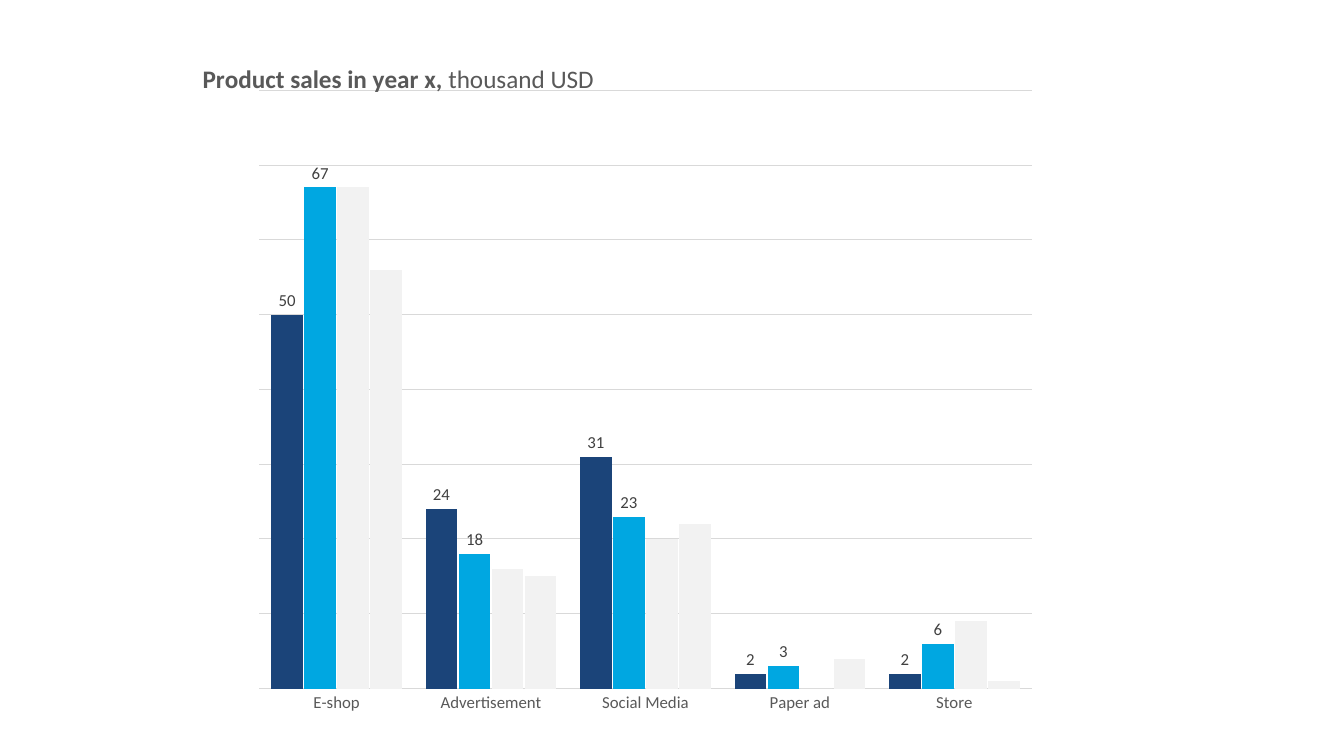
"""Build a slide with a clustered column chart of product sales by channel."""
from dataclasses import dataclass

from pptx import Presentation
from pptx import util as u
from pptx.chart import data as chart_data
from pptx.dml.color import RGBColor
from pptx.enum import chart as chart_enum
from pptx.oxml import parse_xml
from pptx.oxml.ns import nsdecls

EMU_PER_PX = 9525


@dataclass(frozen=True)
class Theme:
    font: str = "Calibri"
    navy: str = "1B4479"
    cyan: str = "00A7E1"
    pale: str = "F2F2F2"
    grid: str = "D9D9D9"
    text: str = "595959"
    label: str = "404040"
    base: str = "000000"
    title_size: int = 18
    text_size: int = 12
    base_size: int = 10
    line_width: float = 0.75


@dataclass(frozen=True)
class SalesSeries:
    name: str
    values: tuple[int, ...]
    color: str
    labelled: bool = False


THEME = Theme()
CHANNELS = ("E-shop", "Advertisement", "Social Media", "Paper ad", "Store")
SALES = (
    SalesSeries("Series 1", (50, 24, 31, 2, 2), THEME.navy, True),
    SalesSeries("Series 2", (67, 18, 23, 3, 6), THEME.cyan, True),
    SalesSeries("Series 3", (67, 16, 20, 0, 9), THEME.pale),
    SalesSeries("Series 4", (56, 15, 22, 4, 1), THEME.pale),
)


def px(length: int) -> u.Emu:
    return u.Emu(length * EMU_PER_PX)


def format_font(font, *, size: int, color: str, bold: bool = False) -> None:
    font.name = THEME.font
    font.size = u.Pt(size)
    font.bold = bold
    font.color.rgb = RGBColor.from_string(color)


def add_text(paragraph, content: str, **font_format) -> None:
    run = paragraph.add_run()
    run.text = content
    format_font(run.font, **font_format)


def format_line(line) -> None:
    line.color.rgb = RGBColor.from_string(THEME.grid)
    line.width = u.Pt(THEME.line_width)


def set_layout(element, position: int, **settings: str | float) -> None:
    for layout in element.xpath("c:layout"):
        element.remove(layout)
    items = "".join(f'<c:{key} val="{value}"/>' for key, value in settings.items())
    element.insert(position, parse_xml(
        f'<c:layout {nsdecls("c")}><c:manualLayout>{items}</c:manualLayout></c:layout>'))


def add_sales_chart(slide):
    sales_data = chart_data.CategoryChartData()
    sales_data.categories = CHANNELS
    for sales in SALES:
        sales_data.add_series(sales.name, sales.values)
    chart = slide.shapes.add_chart(
        chart_enum.XL_CHART_TYPE.COLUMN_CLUSTERED,
        px(190), px(50), px(793), px(655), sales_data).chart
    format_font(chart.font, size=THEME.base_size, color=THEME.base)
    chart.has_legend = False
    return chart


def format_title(chart) -> None:
    title = chart.chart_title
    paragraph = title.text_frame.paragraphs[0]
    title_format = {"size": THEME.title_size, "color": THEME.text}
    add_text(paragraph, "Product sales in year x,", bold=True, **title_format)
    add_text(paragraph, " thousand USD", **title_format)
    set_layout(title._element, 1, xMode="edge", yMode="edge", x=0, y=0.01)


def format_plot(chart) -> None:
    plot = chart.plots[0]
    plot.gap_width = 76
    plot.overlap = -5
    plot.vary_by_categories = False
    for series, sales in zip(plot.series, SALES):
        series.format.fill.solid()
        series.format.fill.fore_color.rgb = RGBColor.from_string(sales.color)
        series.invert_if_negative = False
        if sales.labelled:
            labels = series.data_labels
            labels.show_value = True
            labels.position = chart_enum.XL_LABEL_POSITION.OUTSIDE_END
            format_font(labels.font, size=THEME.text_size, color=THEME.label)
    plot_area = chart._chartSpace.xpath("c:chart/c:plotArea")[0]
    set_layout(plot_area, 0, layoutTarget="inner", xMode="edge", yMode="edge",
               x=0.072, y=0.055, w=0.928, h=0.87)


def format_axes(chart) -> None:
    category_axis = chart.category_axis
    category_axis.major_tick_mark = chart_enum.XL_TICK_MARK.NONE
    category_axis.minor_tick_mark = chart_enum.XL_TICK_MARK.NONE
    format_line(category_axis.format.line)
    format_font(category_axis.tick_labels.font, size=THEME.text_size, color=THEME.text)
    value_axis = chart.value_axis
    value_axis.minimum_scale = 0
    value_axis.maximum_scale = 80
    value_axis.major_unit = 10
    value_axis.has_major_gridlines = True
    format_line(value_axis.major_gridlines.format.line)
    value_axis.visible = False


def main() -> None:
    presentation = Presentation()
    presentation.slide_width = px(1280)
    presentation.slide_height = px(720)
    slide = presentation.slides.add_slide(presentation.slide_layouts[6])
    chart = add_sales_chart(slide)
    format_title(chart)
    format_plot(chart)
    format_axes(chart)
    presentation.save("out.pptx")


if __name__ == "__main__":
    main()
